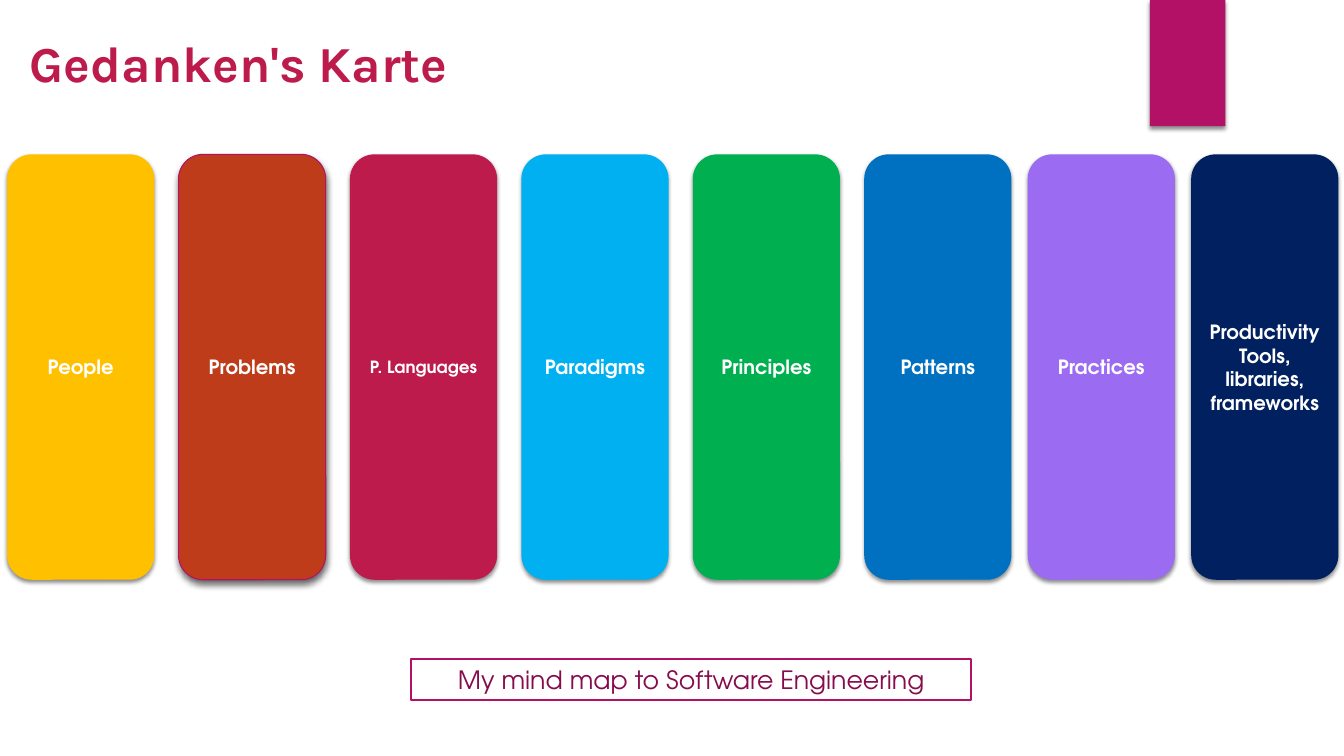
from lxml import etree
from pptx import Presentation
from pptx import util as u
from pptx.dml.color import RGBColor
from pptx.enum import shapes, text
from pptx.oxml import ns

BODY_FONT = "TeX Gyre Adventor"
MAGENTA = "B31166"
SOFT_SHADOW = (45, 3, 2)  # opacity in percent, blur and distance in points
DEEP_SHADOW = (60, 5, 3)

# Label, fill, text size, gap to the previous column in cm
COLUMNS = [
    ("People", "FFC000", 14, 0),
    ("Problems", "BE3C1A", 14, 0.61),
    ("P. Languages", "BD1B4C", 12, 0.61),
    ("Paradigms", "00B0F0", 14, 0.61),
    ("Principles", "00B050", 14, 0.61),
    ("Patterns", "0070C0", 14, 0.61),
    ("Practices", "9B6BF2", 14, 0.41),
    ("Productivity\nTools, libraries, frameworks", "002060", 14, 0.41),
]


def color(hex_string):
    return RGBColor.from_string(hex_string)


def add_shadow(shape, opacity, blur, distance):
    effects = shape._element.spPr.find(ns.qn("a:effectLst"))
    shadow = etree.SubElement(
        effects, ns.qn("a:outerShdw"), blurRad=str(u.Pt(blur)),
        dist=str(u.Pt(distance)), dir="5400000", algn="ctr", rotWithShape="0")
    black = etree.SubElement(shadow, ns.qn("a:srgbClr"), val="000000")
    etree.SubElement(black, ns.qn("a:alpha"), val=str(opacity * 1000))


def add_block(slide, kind, box, fill, line=None, line_width=0.75, shadow=None):
    shape = slide.shapes.add_shape(kind, *(u.Cm(length) for length in box))
    shape.fill.solid()
    shape.fill.fore_color.rgb = color(fill)
    if line:
        shape.line.color.rgb = color(line)
        shape.line.width = u.Pt(line_width)
    else:
        shape.line.fill.background()
    shape.shadow.inherit = False
    if shadow:
        add_shadow(shape, *shadow)
    return shape


def write(shape, words, size, hex_string, font=BODY_FONT, bold=False,
          align=text.PP_ALIGN.CENTER):
    frame = shape.text_frame
    frame.text = words
    frame.word_wrap = True
    frame.vertical_anchor = text.MSO_ANCHOR.MIDDLE
    for paragraph in frame.paragraphs:
        paragraph.alignment = align
        for run in paragraph.runs:
            run.font.name = font
            run.font.size = u.Pt(size)
            run.font.bold = bold
            run.font.color.rgb = color(hex_string)


def add_title(slide, box):
    title = slide.shapes.title
    title.left, title.top, title.width, title.height = (u.Cm(length) for length in box)
    write(title, "Gedanken's Karte", 36, "BC1B4B", "Karla", True, text.PP_ALIGN.LEFT)


def add_columns(slide, left, top, width, height):
    for label, fill, size, gap in COLUMNS:
        left += gap
        raised = label == "Problems"
        column = add_block(
            slide, shapes.MSO_SHAPE.ROUNDED_RECTANGLE, (left, top, width, height), fill,
            line=MAGENTA if raised else None,
            shadow=DEEP_SHADOW if raised else SOFT_SHADOW)
        write(column, label, size, "FFFFFF", bold=True)
        left += width


def add_caption(slide, box):
    caption = add_block(slide, shapes.MSO_SHAPE.RECTANGLE, box, "FFFFFF", MAGENTA, 1.5)
    write(caption, "My mind map to Software Engineering", 18, "860C4C")


def main():
    presentation = Presentation()
    presentation.slide_width = u.Cm(33.87)
    presentation.slide_height = u.Cm(19.05)
    slide = presentation.slides.add_slide(presentation.slide_layouts[5])

    # Bookmark at the top edge
    add_block(slide, shapes.MSO_SHAPE.RECTANGLE, (28.98, 0, 1.9, 3.18), MAGENTA,
              shadow=SOFT_SHADOW)
    # Heading, topic columns and caption
    add_title(slide, (0.5, 0.58, 24.33, 1.96))
    add_columns(slide, 0.18, 3.89, 3.71, 10.72)
    add_caption(slide, (10.36, 16.61, 14.12, 1.02))

    presentation.save("out.pptx")


if __name__ == "__main__":
    main()
